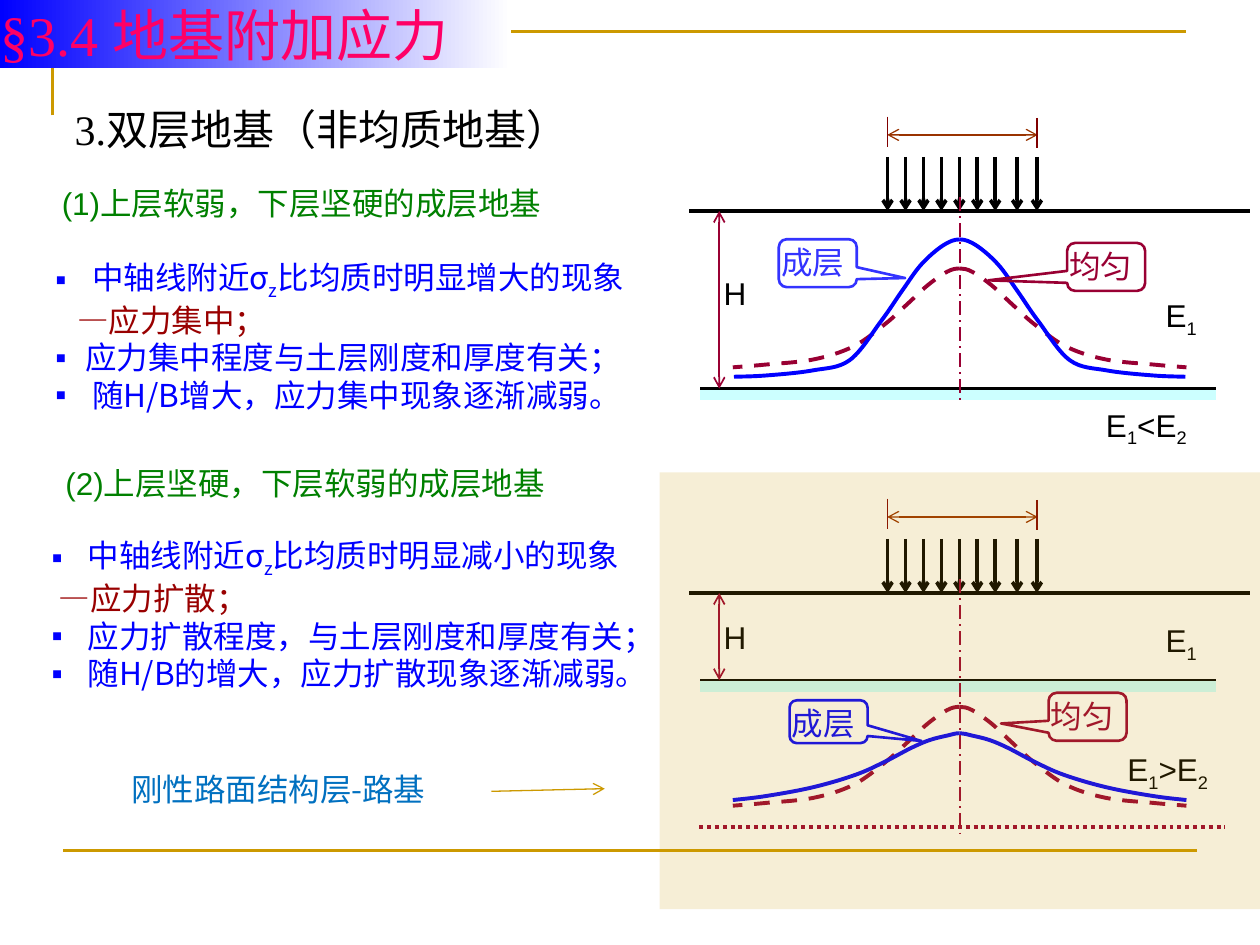
from dataclasses import dataclass

from lxml.etree import SubElement
from pptx import Presentation
from pptx.dml.color import RGBColor
from pptx.enum.dml import MSO_LINE
from pptx.enum.shapes import MSO_CONNECTOR, MSO_SHAPE
from pptx.enum.text import MSO_ANCHOR, PP_ALIGN
from pptx.oxml.ns import qn
from pptx.util import Pt


@dataclass(frozen=True)
class Theme:
    gold: str = "CC9900"
    black: str = "000000"
    green: str = "008000"
    blue: str = "0000FF"
    soft_blue: str = "3333FF"
    red: str = "990000"
    wine: str = "990033"
    brown: str = "993300"
    maroon: str = "800000"
    band: str = "CCFFFF"
    note: str = "0070C0"
    pink: str = "FF0066"
    white: str = "FFFFFF"
    title: int = 32
    heading: int = 24
    body: int = 18
    leading: float = 21.5
    latin: str = "Arial"
    serif: str = "Times New Roman"
    cjk: str = "Noto Sans CJK JP"
    note_font: str = "Noto Sans CJK SC"


@dataclass(frozen=True)
class Layering:
    """Positions are relative to the left end of the ground line."""
    depth: float
    axis_end: float
    uniform_top: float
    layered_top: float
    layered_half: tuple
    layered_color: str
    h_top: float
    e1_top: float
    compare: tuple
    sign: str
    uniform_box: tuple
    uniform_tip: tuple
    layered_box: tuple
    layered_tip: tuple


THEME = Theme()
UNIFORM_HALF = ((0, 0), (7.2, 1.9), (18, 9.4), (29.5, 20), (42.5, 31.7),
                (60.8, 44.6), (83.5, 52), (111.6, 55), (129.6, 56.5))
STIFF_BELOW = Layering(
    101.5, 111, 32.8, 16.2,
    ((0, 0), (9.7, 3.6), (22, 14.4), (33, 29.5), (45, 46.8),
     (63, 69.1), (84.2, 74.9), (111, 77.8), (129, 78.5)),
    THEME.soft_blue, 36, 48.4, (238, 111.2), "<",
    (215.8, 18.2, 44.6, 27.4), (-1.51, 0.28), (51, 16.1, 44.6, 27.4), (1.12, 0.31))
SOFT_BELOW = Layering(
    49.8, 140.5, 65, 80.1,
    ((0, 0), (7.2, 1.4), (17.3, 4), (28, 8.6), (42.5, 16.2),
     (59.5, 23.8), (84.2, 31), (111.2, 36), (129.6, 38.2)),
    THEME.blue, 14.5, 16, (250.2, 89.5), ">",
    (205.2, 57, 44.6, 27.4), (-1.11, 0.14), (57.2, 61.3, 44.6, 24.5), (1.19, 0.45))


def rgb(value):
    return RGBColor.from_string(value)


def style_line(line, color, width, dash=None):
    line.color.rgb = rgb(color)
    line.width = Pt(width)
    if dash:
        line.dash_style = dash


def add_line(page, x1, y1, x2, y2, color, width, dash=None, arrows=()):
    line = page.shapes.add_connector(MSO_CONNECTOR.STRAIGHT, Pt(x1), Pt(y1), Pt(x2), Pt(y2))
    style_line(line.line, color, width, dash)
    for end in arrows:
        SubElement(line.line._get_or_add_ln(), qn(f"a:{end}"), type="arrow")
    SubElement(line.element.spPr, qn("a:effectLst"))


def add_path(page, points, color, width, dash=None):
    points = [(Pt(x), Pt(y)) for x, y in points]
    builder = page.shapes.build_freeform(*points[0])
    builder.add_line_segments(points[1:], close=False)
    path = builder.convert_to_shape()
    path.fill.background()
    path.shadow.inherit = False
    style_line(path.line, color, width, dash)
    return path


def smooth(path):
    """Turn the segments of a path into Bézier curves, level at the first knot."""
    segments = list(path.element.iter(qn("a:lnTo")))
    knots = [(int(point.get("x")), int(point.get("y")))
             for point in path.element.iter(qn("a:pt"))]
    (x0, y0), (x1, y1) = knots[:2]
    padded = [(2 * x0 - x1, y1), *knots, knots[-1]]
    for segment, a, b, c, d in zip(segments, padded, padded[1:], padded[2:], padded[3:]):
        segment.tag = qn("a:cubicBezTo")
        leave = [q + (r - p) / 6 for p, q, r in zip(a, b, c)]
        arrive = [r - (s - q) / 6 for q, r, s in zip(b, c, d)]
        for place, (x, y) in enumerate((leave, arrive)):
            point = SubElement(segment, qn("a:pt"), x=str(round(x)), y=str(round(y)))
            segment.insert(place, point)


def add_bell(page, axis, top, half, color, dash=None):
    for side in (-1, 1):
        points = [(axis + side * x, top + y) for x, y in half]
        smooth(add_path(page, points, color, 2.25, dash))


def prepare(frame, wrap=True, anchor=MSO_ANCHOR.TOP):
    frame.margin_left = frame.margin_top = frame.margin_right = frame.margin_bottom = 0
    frame.word_wrap = wrap
    frame.vertical_anchor = anchor


def write(para, spans, color, font, size=THEME.body, leading=None):
    """Fill a paragraph; a leading underscore marks a subscript span."""
    for text in spans:
        span = para.add_run()
        span.text = text.removeprefix("_")
        if text.startswith("_"):
            span.font._element.set("baseline", "-25000")
    para.alignment = PP_ALIGN.LEFT
    if leading:
        para.line_spacing = Pt(leading)
    para.font.name, para.font.size = font, Pt(size)
    para.font.color.rgb = rgb(color)


def add_text(page, box, spans, color, font, size=THEME.body, wrap=False, leading=None):
    frame = page.shapes.add_textbox(*map(Pt, box)).text_frame
    prepare(frame, wrap)
    write(frame.paragraphs[0], spans, color, font, size, leading)


def add_callout(page, box, tip, text, color):
    callout = page.shapes.add_shape(MSO_SHAPE.ROUNDED_RECTANGULAR_CALLOUT, *map(Pt, box))
    callout.adjustments[0], callout.adjustments[1] = tip
    callout.fill.background()
    callout.shadow.inherit = False
    style_line(callout.line, color, 1.5)
    prepare(callout.text_frame)
    callout.text_frame.margin_top = Pt(1)
    write(callout.text_frame.paragraphs[0], [text], color, THEME.cjk, leading=THEME.leading)


def add_points(page, box, items):
    """Bulleted list; each item is (bulleted, indent, spans)."""
    frame = page.shapes.add_textbox(*map(Pt, box)).text_frame
    prepare(frame)
    for index, (bulleted, indent, spans) in enumerate(items):
        para = frame.add_paragraph() if index else frame.paragraphs[0]
        properties = para._p.get_or_add_pPr()
        properties.set("marL", str(Pt(indent)))
        properties.set("indent", str(-Pt(indent) if bulleted else 0))
        if bulleted:
            para.line_spacing = Pt(THEME.leading)
            SubElement(properties, qn("a:buFont"), typeface=THEME.latin)
            SubElement(properties, qn("a:buChar"), char="▪")
        write(para, spans, THEME.blue if bulleted else THEME.red, THEME.cjk,
              leading=THEME.leading)
        if not bulleted:
            para.runs[0].font.name = THEME.serif


def add_diagram(page, left, ground, layer):
    axis, bottom = left + 154.4, ground + layer.depth
    # Strip load and its width
    for offset in [113.2 + 10.25 * step for step in range(7)] + [187.2, 198.5]:
        x = left + offset
        add_line(page, x, ground - 31, x, ground, THEME.black, 2, arrows=["tailEnd"])
    add_line(page, left + 113, ground - 43.5, left + 199, ground - 43.5, THEME.brown, 0.75,
             arrows=["headEnd", "tailEnd"])
    for offset, top in ((113, -54), (198.5, -53.3)):
        x = left + offset
        add_line(page, x, ground + top, x, ground + top + 17.3, THEME.maroon, 0.75)
    # Ground line and layer boundary
    add_line(page, left, ground, left + 320.3, ground, THEME.black, 2.25)
    add_line(page, left + 6.3, bottom, left + 300.8, bottom, THEME.black, 1.8)
    add_line(page, left + 6.3, bottom + 3.6, left + 300.8, bottom + 3.6, THEME.band, 6)
    # Stress curves, axis and layer depth
    add_bell(page, axis, ground + layer.uniform_top, UNIFORM_HALF, THEME.wine, MSO_LINE.DASH)
    add_bell(page, axis, ground + layer.layered_top, layer.layered_half, THEME.blue)
    add_line(page, axis, ground - 8, axis, ground + layer.axis_end, THEME.wine, 1,
             MSO_LINE.LONG_DASH_DOT)
    add_line(page, left + 17, ground, left + 17, bottom, THEME.wine, 1,
             arrows=["headEnd", "tailEnd"])
    # Labels
    x, y = layer.compare
    for dx, dy, width, spans in (
            (19.5, layer.h_top, 14.5, ["H"]),
            (272, layer.e1_top, 21, ["E", "_1"]),
            (x, y, 52.5, ["E", "_1", layer.sign + "E", "_2"])):
        add_text(page, (left + dx, ground + dy, width, 22), spans, THEME.black, THEME.latin)
    for (dx, dy, width, height), tip, text, color in (
            (layer.uniform_box, layer.uniform_tip, "均匀", THEME.wine),
            (layer.layered_box, layer.layered_tip, "成层", layer.layered_color)):
        add_callout(page, (left + dx, ground + dy, width, height), tip, text, color)


def add_title(page, box):
    title = page.shapes.title
    title.left, title.top, title.width, title.height = map(Pt, box)
    title.fill.gradient()
    title.fill.gradient_angle = 0
    for stop, color in zip(title.fill.gradient_stops, (THEME.blue, THEME.white)):
        stop.color.rgb = rgb(color)
    prepare(title.text_frame, anchor=MSO_ANCHOR.MIDDLE)
    write(title.text_frame.paragraphs[0], ["§3.4 地基附加应力"], THEME.pink, THEME.serif, THEME.title)
    # The title band lies over the frame line
    title.element.getparent().append(title.element)


def main():
    deck = Presentation()
    deck.slide_width, deck.slide_height = Pt(720), Pt(540)
    page = deck.slides.add_slide(deck.slide_layouts[5])

    # Frame lines
    add_path(page, [(30, 66), (30, 18), (678, 18)], THEME.gold, 1.5)
    add_line(page, 36, 486, 684, 486, THEME.gold, 1.5)

    # Headings and points
    add_text(page, (42.7, 59, 292, 29), ["3.双层地基（非均质地基）"], THEME.black, THEME.serif,
             THEME.heading)
    add_text(page, (35.3, 105, 292, 22), ["(1)上层软弱，下层坚硬的成层地基"], THEME.green, THEME.latin)
    add_points(page, (31.7, 150.5, 350, 89), [
        (True, 21, ["中轴线附近σ", "_z", "比均质时明显增大的现象"]),
        (False, 12.5, ["—", "应力集中；"]),
        (True, 17, ["应力集中程度与土层刚度和厚度有关；"]),
        (True, 21, ["随H/B增大，应力集中现象逐渐减弱。"])])
    add_text(page, (37.4, 265, 292, 22), ["(2)上层坚硬，下层软弱的成层地基"], THEME.green, THEME.latin)
    add_points(page, (29.5, 309.6, 353, 89), [
        (True, 20.5, ["中轴线附近σ", "_z", "比均质时明显减小的现象"]),
        (False, 4, ["—", "应力扩散；"]),
        (True, 20.5, ["应力扩散程度，与土层刚度和厚度有关；"]),
        (True, 20.5, ["随H/B的增大，应力扩散现象逐渐减弱。"])])

    # Diagrams, the lower one under a tinted wash
    add_diagram(page, 394, 120.6, STIFF_BELOW)
    add_diagram(page, 394, 338.9, SOFT_BELOW)
    add_line(page, 399.6, 472.7, 699.8, 472.7, THEME.wine, 2.25, MSO_LINE.ROUND_DOT)
    wash = page.shapes.add_shape(MSO_SHAPE.RECTANGLE, Pt(377), Pt(270), Pt(343), Pt(249.5))
    wash.shadow.inherit = False
    wash.line.fill.background()
    wash.fill.solid()
    wash.fill.fore_color.rgb = rgb(THEME.gold)
    SubElement(wash.element.spPr.find(".//" + qn("a:srgbClr")), qn("a:alpha"), val="16000")

    # Example note
    add_text(page, (74.9, 440.2, 173, 44), ["刚性路面结构层-路基"], THEME.note, THEME.note_font,
             wrap=True, leading=THEME.leading)
    add_line(page, 280.8, 452.2, 345.6, 450.7, THEME.gold, 0.75, arrows=["tailEnd"])
    add_title(page, (0, 0, 292, 39))
    deck.save("out.pptx")


if __name__ == "__main__":
    main()
